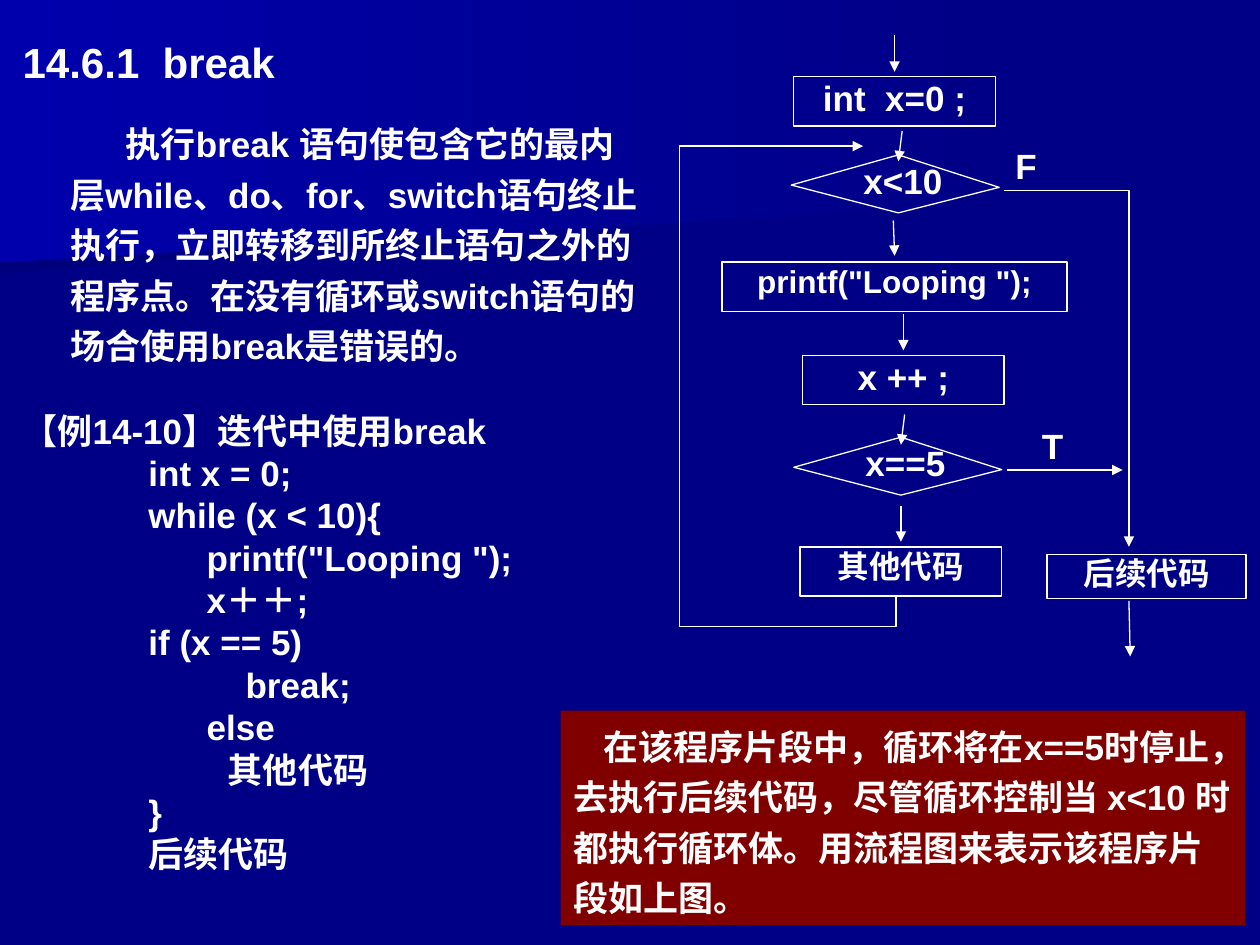
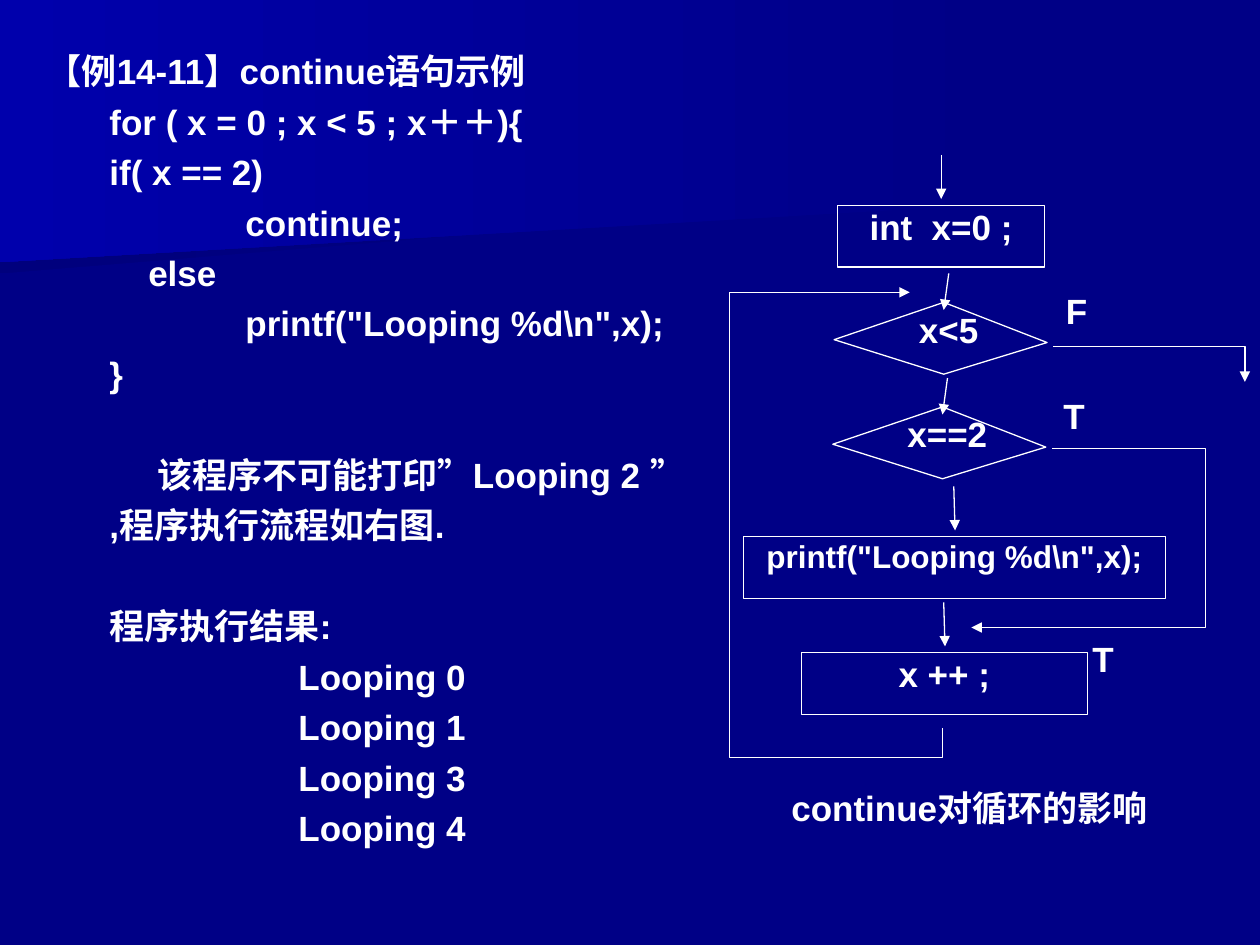
from dataclasses import dataclass

from lxml import etree
from pptx import Presentation
from pptx import util as u
from pptx.dml.color import RGBColor
from pptx.enum import shapes, text
from pptx.oxml import ns

Inches = u.Inches
Point = tuple[float, float]
Box = tuple[float, float, float, float]

HEX = {"navy": "000086", "deep": "00007D", "glow": "0000AC",
       "white": "FFFFFF", "red": "800000"}
FONT = {"name": "Arial", "bold": True}
BODY = (0.1, 0.05)
LABEL = (0.01, 0.01)
FLUSH = (0, 0)
LEFT, MID = text.PP_ALIGN.LEFT, text.PP_ALIGN.CENTER


@dataclass
class Para:
    words: str
    size: float = 20
    left: float = 0
    first: float = 0
    gap: float = 0
    lead: float = 1.0
    align: text.PP_ALIGN = LEFT


@dataclass
class Step:
    words: str
    box: Box
    size: float = 20


@dataclass
class Flow:
    steps: list[Step]
    tests: list[Step]
    tags: list[Step]
    arrows: list[tuple[Point, Point]]
    bends: list[list[Point]]


def rgb(name: str) -> RGBColor:
    return RGBColor.from_string(HEX[name])


def place(shape, box: Box) -> None:
    for key, val in zip(("left", "top", "width", "height"), box):
        setattr(shape, key, Inches(val))


def write(shape, paras: list[Para], pad: Point) -> None:
    """Fill a shape's text frame with formatted paragraphs."""
    frame = shape.text_frame
    form = {"word_wrap": True, "auto_size": text.MSO_AUTO_SIZE.NONE,
            "vertical_anchor": text.MSO_ANCHOR.TOP,
            "margin_left": Inches(pad[0]), "margin_right": Inches(pad[0]),
            "margin_top": Inches(pad[1]), "margin_bottom": Inches(pad[1])}
    for key, val in form.items():
        setattr(frame, key, val)
    for num, para in enumerate(paras):
        line = frame.add_paragraph() if num else frame.paragraphs[0]
        props = line._p.get_or_add_pPr()
        props.set("marL", str(Inches(para.left)))
        props.set("indent", str(Inches(para.first)))
        for key, val in {"alignment": para.align, "line_spacing": para.lead,
                         "space_before": u.Pt(para.gap)}.items():
            setattr(line, key, val)
        run = line.add_run()
        run.text = para.words
        for key, val in {**FONT, "size": u.Pt(para.size)}.items():
            setattr(run.font, key, val)
        run.font.color.rgb = rgb("white")


def add_text(slide, box: Box, paras: list[Para], pad: Point = BODY) -> None:
    write(slide.shapes.add_textbox(*map(Inches, box)), paras, pad)


def set_title(slide, box: Box, words: str, size: float) -> None:
    place(slide.shapes.title, box)
    write(slide.shapes.title, [Para(words, size, lead=1.2)], BODY)


def stroke(shape, arrow: bool = False) -> None:
    """Thin white line, with an arrowhead at its end if asked."""
    shape.line.color.rgb = rgb("white")
    shape.line.width = u.Pt(0.75)
    if arrow:
        line = shape.line._get_or_add_ln()
        etree.SubElement(line, ns.qn("a:tailEnd"), type="triangle")


def outline(slide, points: list[Point], close: bool):
    spots = [(Inches(x), Inches(y)) for x, y in points]
    pen = slide.shapes.build_freeform(*spots[0], scale=1.0)
    pen.add_line_segments(spots[1:], close=close)
    shape = pen.convert_to_shape()
    shape.shadow.inherit = False
    return shape


def add_rect(slide, box: Box):
    shape = slide.shapes.add_shape(shapes.MSO_SHAPE.RECTANGLE,
                                   *map(Inches, box))
    shape.shadow.inherit = False
    return shape


def add_arrow(slide, start: Point, end: Point) -> None:
    link = slide.shapes.add_connector(shapes.MSO_CONNECTOR.STRAIGHT,
                                      *map(Inches, (*start, *end)))
    stroke(link, arrow=True)
    etree.SubElement(link.element.spPr, ns.qn("a:effectLst"))


def add_test(slide, test: Step) -> None:
    """Decision diamond with its condition."""
    x, y, w, h = test.box
    marks = ((0.515, 0), (0, 0.52), (0.515, 1), (1, 0.56))
    shape = outline(slide, [(x + a * w, y + b * h) for a, b in marks], True)
    shape.fill.background()
    stroke(shape)
    add_text(slide, (x + 0.28 * w, y + 0.08 * h, 0.515 * w, 0.7 * h),
             [Para(test.words, test.size, align=MID)], FLUSH)


def draw_flow(slide, flow: Flow) -> None:
    for step in flow.steps:
        shape = add_rect(slide, step.box)
        shape.fill.background()
        stroke(shape)
        write(shape, [Para(step.words, step.size, align=MID)], FLUSH)
    for test in flow.tests:
        add_test(slide, test)
    for start, end in flow.arrows:
        add_arrow(slide, start, end)
    for points in flow.bends:
        shape = outline(slide, points, False)
        shape.fill.background()
        stroke(shape, arrow=True)
    for tag in flow.tags:
        add_text(slide, tag.box, [Para(tag.words, tag.size)], LABEL)


def add_bands(slide, layout) -> None:
    """Draw the two background bands and move them to the layout."""
    bands = [("deep", [(7.78, 1.53), (0, 2.17), (0, 1.01), (7.79, 1.01)]),
             ("glow", [(7.92, 1.62), (0, 2.08), (0, 0), (7.92, 0)])]
    for spot, (tone, points) in enumerate(bands, 2):
        band = outline(slide, points, True)
        band.line.fill.background()
        band.fill.gradient()
        band.fill.gradient_angle = 180
        for stop, name in zip(band.fill.gradient_stops, ("navy", tone)):
            stop.color.rgb = rgb(name)
        layout.element.cSld.spTree.insert(spot, band.element)


def break_slide(slide) -> None:
    set_title(slide, (0.08, 0.16, 5.16, 0.6), "14.6.1  break", 24)

    # Explanation and sample code
    code = ["int x = 0;", "while (x < 10){", '      printf("Looping ");',
            "      x＋＋;", "if (x == 5)", "          break;", "      else",
            "          其他代码", "}", "后续代码"]
    add_text(slide, (0.08, 0.86, 5.16, 6.28), [
        Para("执行break 语句使包含它的最内层while、do、for、switch语句终止执行，"
             "立即转移到所终止语句之外的程序点。在没有循环或switch语句的场合"
             "使用break是错误的。", left=0.38, first=0.44, lead=1.2),
        Para("【例14-10】迭代中使用break", gap=29, lead=0.8),
        *(Para(row, left=1, gap=5, lead=0.8) for row in code)])

    # Flow chart
    draw_flow(slide, Flow(
        steps=[Step("int  x=0 ;", (6.3, 0.61, 1.6, 0.39)),
               Step('printf("Looping ");', (5.73, 2.08, 2.74, 0.39), 18),
               Step("x ++ ;", (6.37, 2.82, 1.6, 0.39)),
               Step("其他代码", (6.35, 4.34, 1.6, 0.39), 18),
               Step("后续代码", (8.31, 4.4, 1.58, 0.35), 18)],
        tests=[Step("x<10", (6.28, 1.23, 1.65, 0.46)),
               Step("x==5", (6.3, 3.47, 1.65, 0.46))],
        tags=[Step("F", (8.05, 1.14, 0.33, 0.6)),
              Step("T", (8.26, 3.36, 0.33, 0.6))],
        arrows=[((7.1, 0.28), (7.1, 0.57)), ((7.16, 1.04), (7.13, 1.28)),
                ((7.09, 1.75), (7.1, 2.03)), ((7.17, 2.49), (7.17, 2.78)),
                ((7.18, 3.29), (7.15, 3.53)), ((7.15, 4.02), (7.15, 4.3)),
                ((7.99, 3.73), (8.91, 3.73)), ((8.96, 4.77), (8.97, 5.21))],
        bends=[[(7.97, 1.51), (8.96, 1.51), (8.96, 4.34)],
               [(7.11, 4.73), (7.11, 4.97), (5.39, 4.97), (5.39, 1.16),
                (6.85, 1.16)]]))

    # Red remark
    note = add_rect(slide, (4.45, 5.64, 5.43, 1.7))
    note.fill.solid()
    note.fill.fore_color.rgb = rgb("red")
    note.line.fill.background()
    write(note, [Para("在该程序片段中，循环将在x==5时停止，去执行后续代码，"
                      "尽管循环控制当 x<10 时都执行循环体。用流程图来表示该"
                      "程序片段如上图。", first=0.24, lead=1.2)], BODY)


def next_slide(slide) -> None:
    set_title(slide, (0.27, 0.28, 5.28, 0.45), "【例14-11】continue语句示例", 20)

    # Sample code, remark and output
    code = ["for ( x = 0 ; x < 5 ; x＋＋){", "if( x == 2)",
            "              continue;", "    else",
            '              printf("Looping %d\\n",x);', "}"]
    add_text(slide, (0.27, 0.68, 5.28, 6.1), [
        *(Para(row, left=0.5, lead=1.2) for row in code),
        Para("该程序不可能打印”Looping 2 ” ,程序执行流程如右图.",
             left=0.5, first=0.38, gap=29, lead=1.2),
        Para("程序执行结果:", left=0.5, gap=29, lead=1.2),
        *(Para(f"Looping {num}", left=2, lead=1.2) for num in (0, 1, 3, 4))])

    # Flow chart
    draw_flow(slide, Flow(
        steps=[Step("int  x=0 ;", (6.65, 1.63, 1.64, 0.49)),
               Step('printf("Looping %d\\n",x);', (5.9, 4.26, 3.35, 0.49), 18),
               Step("x ++ ;", (6.36, 5.18, 2.27, 0.49))],
        tests=[Step("x<5", (6.62, 2.4, 1.69, 0.57)),
               Step("x==2", (6.61, 3.23, 1.69, 0.57))],
        tags=[Step("F", (8.45, 2.29, 0.34, 0.74)),
              Step("T", (8.43, 3.12, 0.34, 0.74)),
              Step("T", (8.66, 5.05, 0.34, 0.74))],
        arrows=[((7.47, 1.23), (7.47, 1.58)), ((7.53, 2.17), (7.49, 2.46)),
                ((7.52, 3), (7.48, 3.29)), ((7.57, 3.86), (7.58, 4.21)),
                ((7.49, 4.78), (7.5, 5.13))],
        bends=[[(8.36, 2.75), (9.88, 2.75), (9.88, 3.03)],
               [(7.48, 5.78), (7.48, 6.01), (5.79, 6.01), (5.79, 2.32),
                (7.22, 2.32)],
               [(8.35, 3.56), (9.57, 3.56), (9.57, 4.98), (7.71, 4.98)]]))
    add_text(slide, (5.84, 6.23, 3.71, 0.67),
             [Para("continue对循环的影响", align=MID)], LABEL)


def main() -> None:
    prs = Presentation()
    prs.slide_width, prs.slide_height = Inches(10), Inches(7.5)
    back = prs.slide_master.background.fill
    back.solid()
    back.fore_color.rgb = rgb("navy")
    layout = prs.slide_layouts.get_by_name("Title Only")
    pages = [prs.slides.add_slide(layout) for _ in range(2)]
    add_bands(pages[0], layout)
    for page, build in zip(pages, (break_slide, next_slide)):
        build(page)
    prs.save("out.pptx")


if __name__ == "__main__":
    main()
